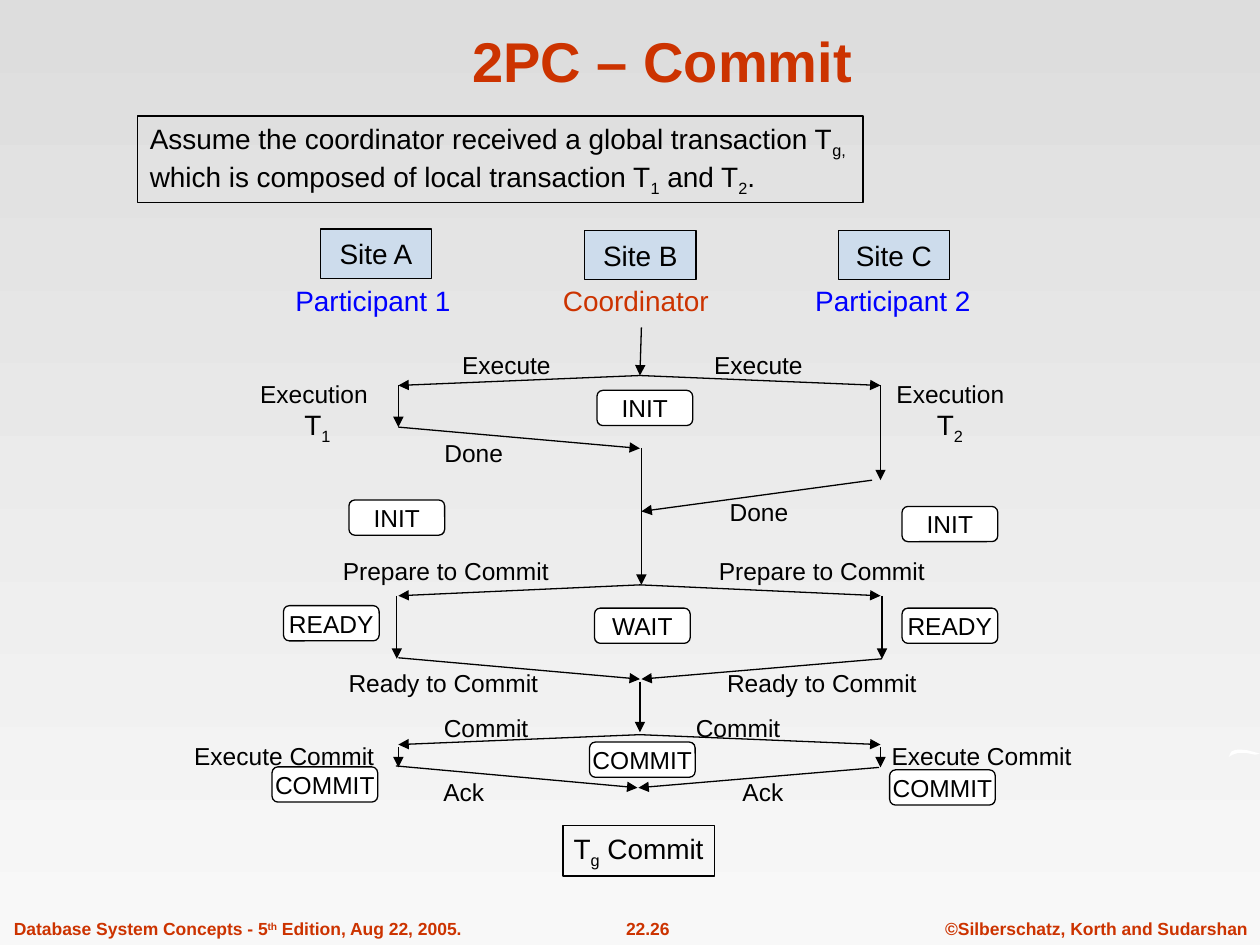
import pptx
import pptx.util
import pptx.dml.color
import pptx.enum.shapes
import pptx.enum.text
import pptx.oxml.ns
import lxml.etree

Cm, Pt = pptx.util.Cm, pptx.util.Pt
SHAPE = pptx.enum.shapes.MSO_SHAPE
ALIGN = pptx.enum.text.PP_ALIGN
ANCHOR = pptx.enum.text.MSO_ANCHOR
qn = pptx.oxml.ns.qn

COLORS = {"ink": "000000", "accent": "CC3300", "participant": "0000FF", "site": "99CCFF",
          "state": "FFFFFF", "top": "DDDDDD", "bottom": "F8F8F8"}
FRAME = {"word_wrap": False, "vertical_anchor": ANCHOR.MIDDLE,
         "margin_left": Cm(0.25), "margin_right": Cm(0.25),
         "margin_top": Cm(0.13), "margin_bottom": Cm(0.13)}
TITLE = {"size": Pt(32), "bold": True}
BODY = {"size": Pt(16)}
LABEL = {"size": Pt(14)}
FOOTER = {"size": Pt(10), "bold": True}
SUB, SUPER = -25000, 30000


def rgb(name):
    return pptx.dml.color.RGBColor.from_string(COLORS[name])


def set_all(target, values):
    for name, value in values.items():
        setattr(target, name, value)


def write(sp, runs, font, color="ink", align=ALIGN.CENTER):
    tf = sp.text_frame
    set_all(tf, FRAME)
    p = tf.paragraphs[0]
    p.alignment = align
    for text, baseline in [(runs, 0)] if isinstance(runs, str) else runs:
        if text == "\n":
            p.add_line_break()
            continue
        r = p.add_run()
        r.text = text
        r.font.name = "Arial"
        set_all(r.font, font)
        r.font.color.rgb = rgb(color)
        if baseline:
            r._r.get_or_add_rPr().set("baseline", str(baseline))


def add_text(s, box, runs, font, color="ink", align=ALIGN.CENTER):
    sp = s.shapes.add_textbox(*map(Cm, box))
    write(sp, runs, font, color, align)
    return sp


def add_label(s, cx, cy, runs, font=LABEL, color="ink"):
    length = len(runs) if isinstance(runs, str) else sum(len(text) for text, _ in runs)
    w, h = 0.28 * length + 1, 0.85
    add_text(s, (cx - w / 2, cy - h / 2, w, h), runs, font, color)


def add_box(s, box, runs, font, kind=SHAPE.RECTANGLE, fill=None, align=ALIGN.CENTER):
    sp = s.shapes.add_shape(kind, *map(Cm, box))
    sp.shadow.inherit = False
    if fill:
        sp.fill.solid()
        sp.fill.fore_color.rgb = rgb(fill)
    else:
        sp.fill.background()
    sp.line.color.rgb = rgb("ink")
    sp.line.width = Pt(0.75)
    write(sp, runs, font, align=align)
    return sp


def add_arrow(s, x1, y1, x2, y2):
    sp = s.shapes.add_connector(pptx.enum.shapes.MSO_CONNECTOR.STRAIGHT,
                                Cm(x1), Cm(y1), Cm(x2), Cm(y2))
    sp.line.color.rgb = rgb("ink")
    sp.line.width = Pt(0.75)
    lxml.etree.SubElement(sp.line._get_or_add_ln(), qn("a:tailEnd"), type="triangle")
    lxml.etree.SubElement(sp._element.spPr, qn("a:effectLst"))


def add_background(s):
    fill = s.background.fill
    fill.gradient()
    fill.gradient_angle = 270
    for stop, name in zip(fill.gradient_stops, ("top", "bottom")):
        stop.color.rgb = rgb(name)


def add_swoosh(s, box):
    x, y, w, h = box
    outline = [(0, 1), (0.08, 0.3), (0.2, 0.06), (0.36, 0), (0.6, 0.1), (1, 0.55),
               (0.85, 0.7), (0.55, 0.45), (0.3, 0.45), (0.12, 0.7)]
    points = [(Cm(x + w * u), Cm(y + h * v)) for u, v in outline]
    builder = s.shapes.build_freeform(*points[0])
    builder.add_line_segments(points[1:], close=True)
    sp = builder.convert_to_shape()
    sp.shadow.inherit = False
    sp.fill.solid()
    sp.fill.fore_color.rgb = rgb("state")
    sp.line.fill.background()


def add_footer(s, box):
    x, y, w, h = box
    edition = [("Database System Concepts - 5", 0), ("th", SUPER), (" Edition, Aug 22, 2005.", 0)]
    add_text(s, (x, y, 9.6, h), edition, FOOTER, "accent", ALIGN.LEFT)
    add_text(s, (x + 11.68, y, 2.7, h), "22.26", FOOTER, "accent")
    add_text(s, (x + w - 6.6, y, 6.6, h), "©Silberschatz, Korth and Sudarshan",
             FOOTER, "accent", ALIGN.RIGHT)


def add_title(s, box):
    sp = add_text(s, box, "2PC – Commit", TITLE, "accent")
    sp.text_frame.vertical_anchor = ANCHOR.BOTTOM


def add_assumption(s, box):
    runs = [("Assume the coordinator received a global transaction T", 0), ("g,", SUB), ("\n", 0),
            ("which is composed of local transaction T", 0), ("1", SUB), (" and T", 0),
            ("2", SUB), (".", 0)]
    add_box(s, box, runs, BODY, align=ALIGN.LEFT)


def add_sites(s, box):
    x, y, w, h = box
    sites = [(0, 0, "Site A", 1.06, "Participant 1", "participant"),
             (5.33, 0.03, "Site B", 6.36, "Coordinator", "accent"),
             (10.44, 0.03, "Site C", 11.54, "Participant 2", "participant")]
    for dx, dy, site, role_x, role, color in sites:
        sp = add_box(s, (x + dx, y + dy, 2.24, 0.99), site, BODY, fill="site")
        tint = sp._element.spPr.find(qn("a:solidFill"))[0]
        lxml.etree.SubElement(tint, qn("a:alpha"), val="30000")
        add_label(s, x + role_x, y + h - 0.43, role, BODY, color)


def add_messages(s, box):
    x, y, w, h = box
    a, b, c = 5.03, 9.9, 14.75
    arrows = [(b + 0.03, 0, b, 0.97),
              (b, 0.97, a, 1.17), (b, 0.97, c, 1.17),
              (a, 1.17, a, 2.01), (c, 1.17, c, 3.08),
              (a, 2.01, b, 2.44), (c - 0.17, 3.08, b + 0.03, 3.71),
              (b + 0.03, 2.44, b + 0.03, 5.19),
              (b, 5.19, a, 5.41), (b, 5.19, c, 5.41),
              (a - 0.03, 5.41, a - 0.03, 6.68), (c + 0.03, 5.41, c + 0.03, 6.68),
              (a, 6.66, b, 7.09), (c + 0.03, 6.68, b + 0.03, 7.09),
              (b, 7.14, b, 8.16),
              (b, 8.21, a, 8.41), (b, 8.21, c, 8.41),
              (a, 8.46, a, 8.87), (c, 8.46, c, 8.87),
              (a - 0.05, 8.84, b - 0.05, 9.28), (c - 0.03, 8.87, b - 0.03, 9.28)]
    for x1, y1, x2, y2 in arrows:
        add_arrow(s, x + x1, y + y1, x + x2, y + y2)
    labels = [("Execute", (7.21, 0.76), (12.29, 0.76)),
              ("Execution", (3.33, 1.34), (16.16, 1.34)),
              ("Done", (6.55, 2.53), (12.3, 3.72)),
              ("Prepare to Commit", (5.99, 4.91), (13.57, 4.91)),
              ("Ready to Commit", (5.94, 7.17), (13.57, 7.17)),
              ("Commit", (6.8, 8.06), (11.88, 8.06)),
              ("Execute Commit", (2.73, 8.64), (16.79, 8.64)),
              ("Ack", (6.35, 9.37), (12.38, 9.37))]
    for text, *places in labels:
        for cx, cy in places:
            add_label(s, x + cx, y + cy, text)
    for number, cx in (("1", 3.4), ("2", 16.15)):
        add_label(s, x + cx, y + 2, [("T", 0), (number, SUB)], BODY)


def add_states(s, box):
    x, y, w, h = box
    states = [("INIT", 1.93, [(10, 1.63), (5, 3.84), (16.15, 3.97)]),
              ("WAIT", 1.93, [(9.95, 6.02)]),
              ("READY", 1.93, [(3.68, 5.97), (16.15, 6.02)]),
              ("COMMIT", 2.13, [(9.95, 8.72), (3.55, 9.22), (16, 9.28)])]
    for text, width, places in states:
        for cx, cy in places:
            add_box(s, (x + cx - width / 2, y + cy - 0.36, width, 0.71), text, LABEL,
                    SHAPE.ROUNDED_RECTANGLE, "state")


def add_outcome(s, box):
    add_box(s, box, [("T", 0), ("g", SUB), (" Commit", 0)], BODY)


def main():
    prs = pptx.Presentation()
    prs.slide_width, prs.slide_height = Cm(25.4), Cm(19.05)
    s = prs.slides.add_slide(prs.slide_layouts[6])
    protocol = (3, 6.6, 19.4, 9.7)
    add_background(s)
    add_footer(s, (0.03, 18.38, 25.37, 0.69))
    add_swoosh(s, (24.77, 15.11, 0.63, 0.15))
    add_title(s, (2.14, 0.33, 22.43, 1.7))
    add_sites(s, (6.46, 4.62, 12.68, 1.86))
    add_messages(s, protocol)
    add_assumption(s, (2.77, 2.34, 14.63, 1.75))
    add_states(s, protocol)
    add_outcome(s, (11.35, 16.64, 3.05, 1.02))
    prs.save("out.pptx")


if __name__ == "__main__":
    main()
